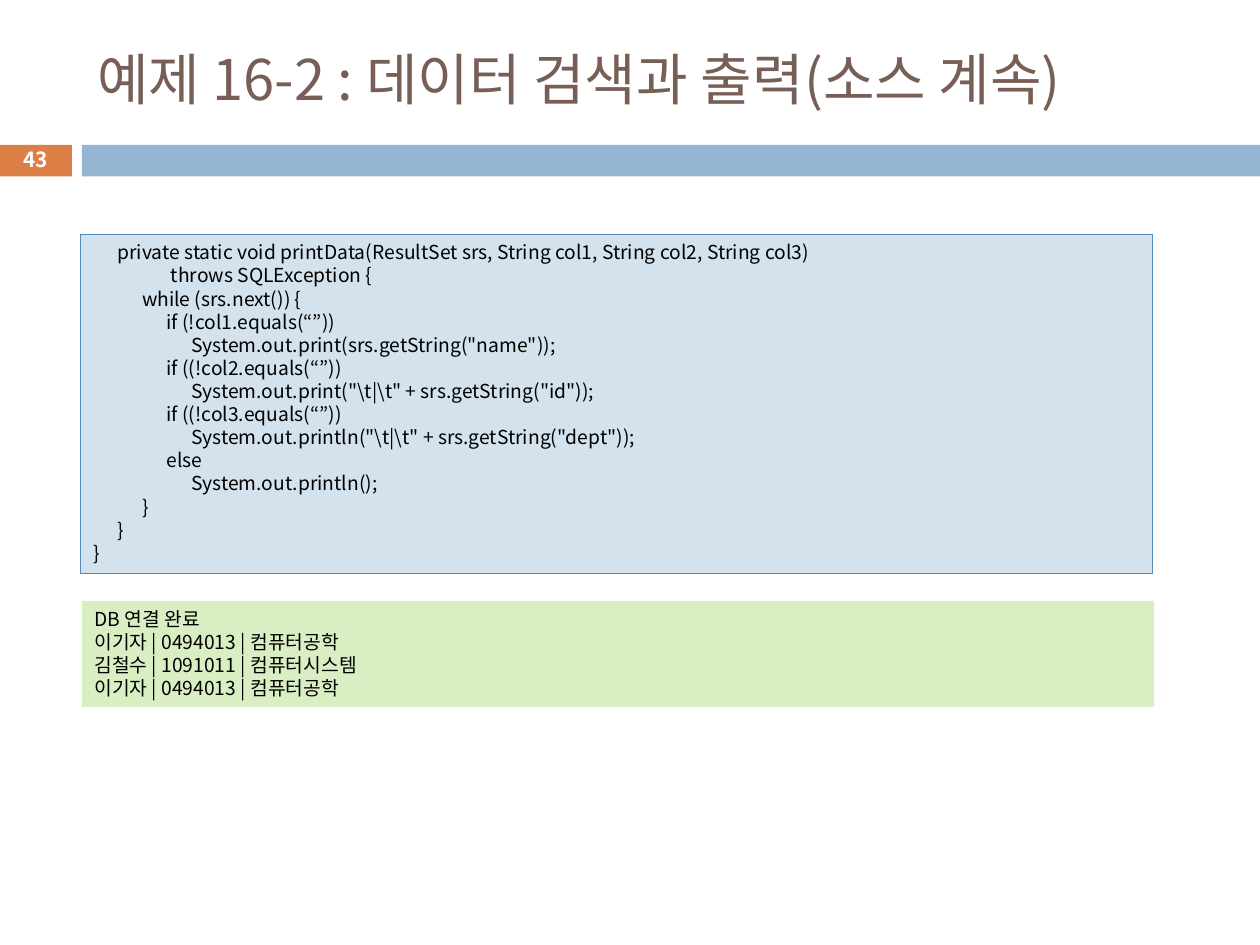
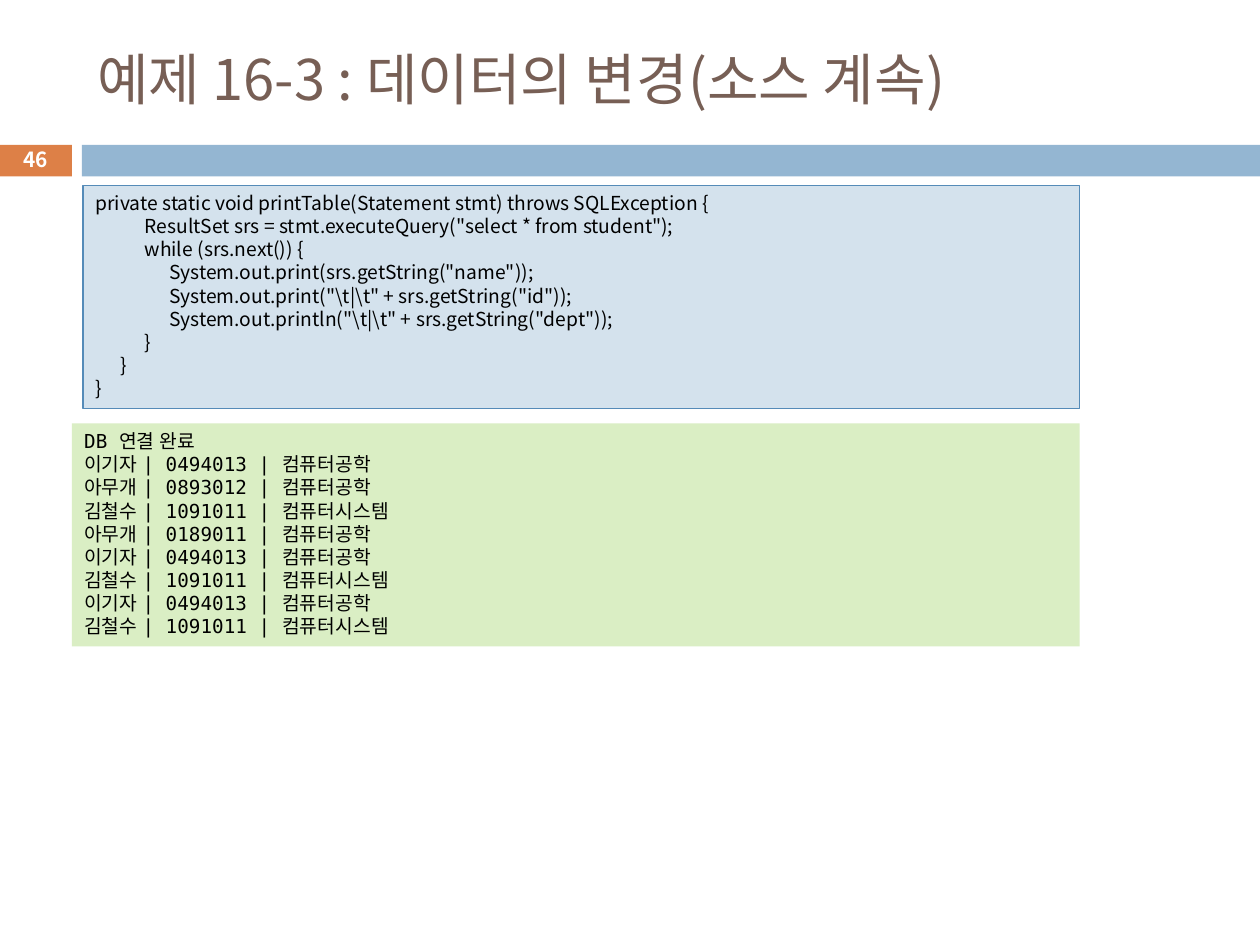
from lxml import etree
from pptx import Presentation
from pptx.dml.color import RGBColor
from pptx.enum import shapes, text
from pptx.oxml.ns import qn
from pptx.util import Inches, Pt

ORANGE = RGBColor(0xDD, 0x80, 0x47)
BAND_BLUE = RGBColor(0x94, 0xB6, 0xD2)
CODE_FILL = RGBColor(0xD4, 0xE2, 0xED)
CODE_LINE = RGBColor(0x55, 0x8B, 0xB8)
OUTPUT_FILL = RGBColor(0xDA, 0xEE, 0xC4)
TITLE_BROWN = RGBColor(0x77, 0x5F, 0x55)
BLACK = RGBColor(0, 0, 0)
WHITE = RGBColor(0xFF, 0xFF, 0xFF)

MAIN_FONT = "Noto Sans CJK KR"
MONO_FONT = "DejaVu Sans Mono"
KOREAN_FONT = "Roboto"
LINE_PITCH = Pt(13.2)
TAB_WIDTH = Pt(14)
TAB_COUNT = 4

# Each code line is an indent level and its text.
PRINT_DATA = [
    (1, "private static void printData(ResultSet srs, String col1, String col2, String col3)"),
    (3, " throws SQLException {"),
    (2, "while (srs.next()) {"),
    (3, "if (!col1.equals(“”))"),
    (4, 'System.out.print(srs.getString("name"));'),
    (3, "if ((!col2.equals(“”))"),
    (4, r'System.out.print("\t|\t" + srs.getString("id"));'),
    (3, "if ((!col3.equals(“”))"),
    (4, r'System.out.println("\t|\t" + srs.getString("dept"));'),
    (3, "else"),
    (4, "System.out.println();"),
    (2, "}"),
    (1, "}"),
    (0, "}"),
]
PRINT_TABLE = [
    (0, "private static void printTable(Statement stmt) throws SQLException {"),
    (2, 'ResultSet srs = stmt.executeQuery("select * from student");'),
    (2, "while (srs.next()) {"),
    (3, 'System.out.print(srs.getString("name"));'),
    (3, r'System.out.print("\t|\t" + srs.getString("id"));'),
    (3, r'System.out.println("\t|\t" + srs.getString("dept"));'),
    (2, "}"),
    (1, "}"),
    (0, "}"),
]

LEE = ("이기자", "0494013", "컴퓨터공학")
KIM = ("김철수", "1091011", "컴퓨터시스템")
ANYONE_08 = ("아무개", "0893012", "컴퓨터공학")
ANYONE_01 = ("아무개", "0189011", "컴퓨터공학")


def write_text(shape, lines, size=11, color=BLACK, font=MAIN_FONT, bold=False,
               align=text.PP_ALIGN.LEFT, anchor=text.MSO_ANCHOR.TOP,
               pitch=None, tabs=False):
    """Write one paragraph per line; a line is a list of (text, font or None) runs."""
    frame = shape.text_frame
    frame.word_wrap = True
    frame.auto_size = text.MSO_AUTO_SIZE.NONE
    frame.vertical_anchor = anchor
    for index, runs in enumerate(lines):
        paragraph = frame.paragraphs[0] if index == 0 else frame.add_paragraph()
        paragraph.alignment = align
        if pitch:
            paragraph.line_spacing = pitch
        if tabs:
            add_tab_stops(paragraph)
        for words, run_font in runs:
            run = paragraph.add_run()
            run.text = words
            run.font.size = Pt(size)
            run.font.bold = bold
            run.font.color.rgb = color
            run.font.name = run_font or font
            east_asian = etree.SubElement(run.font._element, qn("a:ea"))
            east_asian.set("typeface", run_font or font)


def add_tab_stops(paragraph):
    tab_list = etree.SubElement(paragraph._p.get_or_add_pPr(), qn("a:tabLst"))
    for stop in range(1, TAB_COUNT + 1):
        etree.SubElement(tab_list, qn("a:tab"), pos=str(stop * TAB_WIDTH), algn="l")


def add_rectangle(slide, left, top, width, height, fill, line=None):
    shape = slide.shapes.add_shape(shapes.MSO_SHAPE.RECTANGLE, Inches(left),
                                   Inches(top), Inches(width), Inches(height))
    shape.shadow.inherit = False
    shape.fill.solid()
    shape.fill.fore_color.rgb = fill
    if line is None:
        shape.line.fill.background()
    else:
        shape.line.color.rgb = line
        shape.line.width = Pt(0.75)
    return shape


def add_titled_slide(presentation, title_text, number):
    """Add a slide with the shared title, band and page number."""
    slide = presentation.slides.add_slide(presentation.slide_layouts[5])
    title = slide.shapes.title
    title.left, title.top = Inches(0.67), Inches(0.25)
    title.width, title.height = Inches(8.92), Inches(0.74)
    write_text(title, [[(title_text, None)]], size=32, color=TITLE_BROWN,
               anchor=text.MSO_ANCHOR.MIDDLE)

    add_rectangle(slide, -0.01, 1.15, 0.58, 0.25, ORANGE)
    add_rectangle(slide, 0.65, 1.15, 9.35, 0.25, BAND_BLUE)
    number_box = slide.shapes.add_textbox(Inches(-0.01), Inches(1.13),
                                          Inches(0.58), Inches(0.27))
    write_text(number_box, [[(str(number), None)]], size=11.9, color=WHITE, bold=True,
               align=text.PP_ALIGN.CENTER, anchor=text.MSO_ANCHOR.MIDDLE)
    return slide


def add_code_box(slide, left, top, width, height, code):
    box = add_rectangle(slide, left, top, width, height, CODE_FILL, CODE_LINE)
    lines = [[("\t" * level + words, None)] for level, words in code]
    write_text(box, lines, pitch=LINE_PITCH, tabs=True)


def add_output_box(slide, left, top, width, height, records, latin=None, korean=None):
    """Show the program output, with Latin and Korean parts in their own fonts."""
    box = add_rectangle(slide, left, top, width, height, OUTPUT_FILL)
    lines = [[("DB ", latin), ("연결 완료", korean)]]
    for name, student_id, department in records:
        lines.append([(f"{name} ", korean), (f"| {student_id} | ", latin),
                      (department, korean)])
    write_text(box, lines, pitch=LINE_PITCH)


def main():
    presentation = Presentation()
    presentation.slide_width = Inches(10)
    presentation.slide_height = Inches(7.5)

    search = add_titled_slide(presentation, "예제 16-2 : 데이터 검색과 출력(소스 계속)", 43)
    add_code_box(search, 0.64, 1.86, 8.51, 2.69, PRINT_DATA)
    add_output_box(search, 0.65, 4.77, 8.51, 0.84, [LEE, KIM, LEE])

    change = add_titled_slide(presentation, "예제 16-3 : 데이터의 변경(소스 계속)", 46)
    add_code_box(change, 0.66, 1.47, 7.91, 1.77, PRINT_TABLE)
    add_output_box(change, 0.57, 3.36, 8, 1.77,
                   [LEE, ANYONE_08, KIM, ANYONE_01, LEE, KIM, LEE, KIM],
                   latin=MONO_FONT, korean=KOREAN_FONT)

    presentation.save("out.pptx")


if __name__ == "__main__":
    main()
